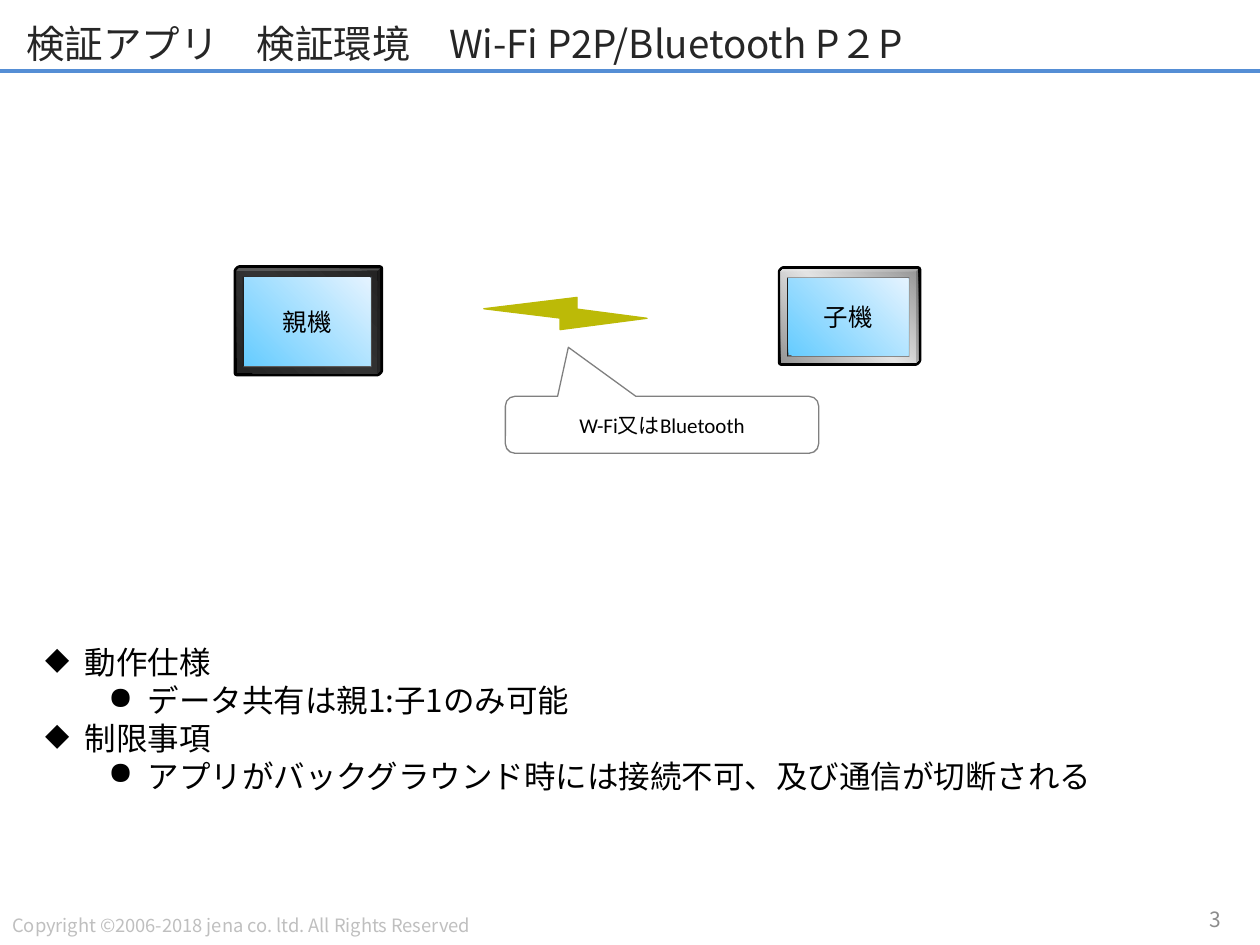
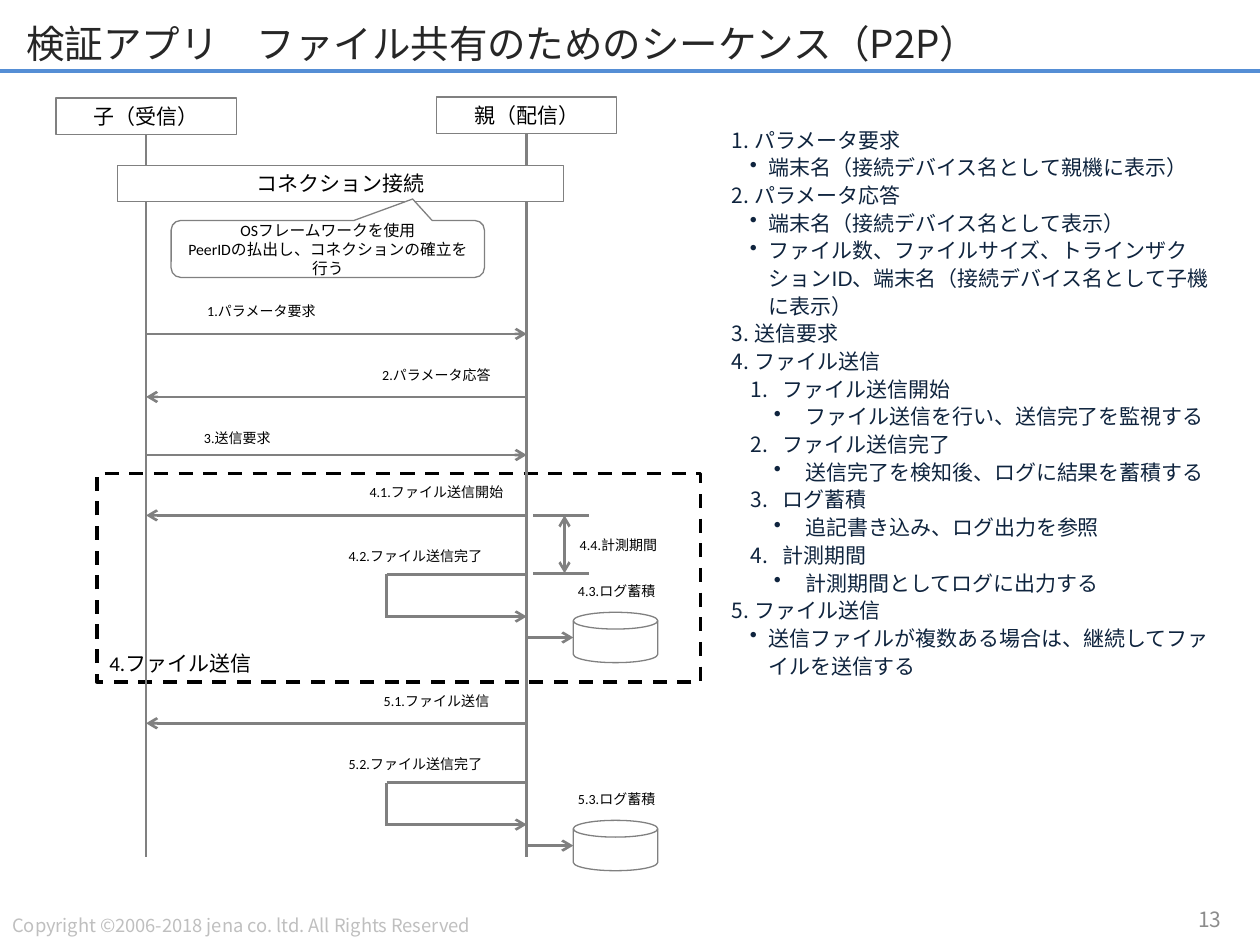
from dataclasses import dataclass

from lxml.etree import SubElement
from pptx import Presentation
from pptx.dml.color import RGBColor
from pptx.enum.dml import MSO_LINE
from pptx.enum.shapes import MSO_CONNECTOR, MSO_SHAPE
from pptx.enum.text import MSO_ANCHOR, PP_ALIGN
from pptx.oxml.ns import qn
from pptx.util import Pt


# Theme: colours, fonts and type sizes
@dataclass(frozen=True)
class Theme:
    black: str = "000000"
    white: str = "FFFFFF"
    grey: str = "808080"
    rule: str = "558ED5"
    title: str = "262626"
    footer: str = "BFBFBF"
    number: str = "8C8C8C"
    navy: str = "0F243E"
    bezel: str = "333333"
    signal: str = "BCBA07"
    screen: tuple = ("66CCFF", "E4F3FF")
    dark_case: tuple = ("242424", "333333", "242424")
    light_case: tuple = ("969696", "E3E3E3", "969696")
    display_font: str = "Noto Sans CJK JP"
    label_font: str = "Calibri"
    list_font: str = "Arial"
    title_size: float = 22
    bullet_size: float = 18
    device_size: float = 14
    body_size: float = 12
    footer_size: float = 10.5
    note_size: float = 9
    label_size: float = 8


@dataclass(frozen=True)
class ListStyle:
    level: int
    margin: float
    hanging: float
    bullet: str


THEME = Theme()
COPYRIGHT = "Copyright ©2006-2018 jena co. ltd. All Rights Reserved"


def set_bullet(para, style):
    para.level = style.level
    properties = para._p.get_or_add_pPr()
    properties.set("marL", str(Pt(style.margin)))
    properties.set("indent", str(-Pt(style.hanging)))
    if style.bullet == "1.":
        SubElement(properties, qn("a:buAutoNum"), type="arabicPeriod")
    else:
        SubElement(properties, qn("a:buChar"), char=style.bullet)


def write(frame, text, size=THEME.body_size, font=THEME.label_font, color=THEME.black,
          align=PP_ALIGN.CENTER, anchor=MSO_ANCHOR.MIDDLE, wrap=True, spacing=None):
    """Fill a frame from a string or from (ListStyle, string) pairs."""
    frame.word_wrap = wrap
    frame.vertical_anchor = anchor
    items = [(None, line) for line in text.split("\n")] if isinstance(text, str) else text
    for index, (style, line) in enumerate(items):
        para = frame.add_paragraph() if index else frame.paragraphs[0]
        para.alignment = align
        if spacing:
            para.line_spacing = spacing
        if style:
            set_bullet(para, style)
        span = para.add_run()
        span.text = line
        span.font.size = Pt(size)
        span.font.name = font
        span.font.color.rgb = RGBColor.from_string(color)
        SubElement(span._r.get_or_add_rPr(), qn("a:ea"), typeface=THEME.display_font)


class Deck:
    def __init__(self, theme):
        self.theme = theme
        self.show = Presentation()
        self.show.slide_width, self.show.slide_height = Pt(720), Pt(540)
        self.page = None

    def add_page(self, title, number):
        theme = self.theme
        self.page = self.show.slides.add_slide(self.show.slide_layouts[6])
        self.line((0, 40.5), (720, 40.5), color=theme.rule, width=2.25)
        self.text(0, 519, 304.5, 20, COPYRIGHT, size=theme.footer_size, color=theme.footer,
                  font=theme.display_font, align=PP_ALIGN.LEFT, anchor=MSO_ANCHOR.TOP, wrap=False)
        self.text(641.5, 510.5, 63.5, 29, number, color=theme.number,
                  font=theme.display_font, align=PP_ALIGN.RIGHT)
        self.text(8, 6.5, 704, 36, title, size=theme.title_size, color=theme.title,
                  font=theme.display_font, align=PP_ALIGN.LEFT)

    def text(self, left, top, width, height, content, **form):
        box = self.page.shapes.add_textbox(Pt(left), Pt(top), Pt(width), Pt(height))
        write(box.text_frame, content, **form)
        return box

    def shape(self, kind, left, top, width, height, fill=THEME.white, line=THEME.grey,
              line_width=0.75, dash=None, adjust=(), rotation=0, content=None, **form):
        box = self.page.shapes.add_shape(kind, Pt(left), Pt(top), Pt(width), Pt(height))
        box.shadow.inherit = False
        box.rotation = rotation
        for index, value in enumerate(adjust):
            box.adjustments[index] = value
        if isinstance(fill, tuple):
            self.gradient(box, fill)
        else:
            box.fill.solid()
            box.fill.fore_color.rgb = RGBColor.from_string(fill)
        if line:
            box.line.color.rgb = RGBColor.from_string(line)
            box.line.width = Pt(line_width)
            if dash:
                box.line.dash_style = dash
        else:
            box.line.fill.background()
        if content:
            write(box.text_frame, content, **form)
        return box

    def gradient(self, box, colors):
        box.fill.gradient()
        fill = box._element.spPr.find(qn("a:gradFill"))
        for child in list(fill):
            fill.remove(child)
        stops = SubElement(fill, qn("a:gsLst"))
        for index, color in enumerate(colors):
            position = 100000 * index // (len(colors) - 1)
            stop = SubElement(stops, qn("a:gs"), pos=str(position))
            SubElement(stop, qn("a:srgbClr"), val=color)
        SubElement(fill, qn("a:lin"), ang=str(315 * 60000), scaled="0")

    def line(self, start, end, color=THEME.grey, width=1.5, head=False, tail=False):
        link = self.page.shapes.add_connector(
            MSO_CONNECTOR.STRAIGHT, *(Pt(value) for value in (*start, *end)))
        link.line.color.rgb = RGBColor.from_string(color)
        link.line.width = Pt(width)
        outline = link.line._get_or_add_ln()
        for wanted, tag in ((head, "a:headEnd"), (tail, "a:tailEnd")):
            if wanted:
                SubElement(outline, qn(tag), type="arrow")
        SubElement(link._element.spPr, qn("a:effectLst"))
        return link

    def callout(self, left, top, tip, content, size):
        self.shape(MSO_SHAPE.ROUNDED_RECTANGULAR_CALLOUT, left, top, 179, 32.5,
                   adjust=(*tip, 0.167), content=content, size=size)

    def device(self, left, top, width, height, case, name):
        theme = self.theme
        body = (left, top, width, height)
        self.shape(MSO_SHAPE.CUBE, *body, fill=theme.black, line=theme.black,
                   line_width=3.5, adjust=(0.023,))
        self.shape(MSO_SHAPE.CUBE, *body, fill=case, line=None, adjust=(0.023,))
        self.shape(MSO_SHAPE.BEVEL, left + 3.5, top + 4.8, width - 8.5, height - 8.3,
                   fill=theme.bezel, line=None, adjust=(0.036,), rotation=180)
        screen = (left + 4.3, top + 5.5, width - 10, height - 9.7)
        self.shape(MSO_SHAPE.RECTANGLE, *screen, fill=theme.screen, line=None)
        self.text(*screen, name, size=theme.device_size)


def build_environment(deck):
    theme = deck.theme
    deck.add_page("検証アプリ　検証環境　Wi-Fi P2P/Bluetooth P２P", "3")

    # Two devices and the radio link between them
    deck.device(135.2, 153.3, 82, 60, theme.dark_case, "親機")
    deck.device(446.2, 153.8, 78.5, 53.5, theme.light_case, "子機")
    deck.callout(288.8, 226.5, (-0.299, -1.363), "W-Fi又はBluetooth", theme.body_size)
    for left, top, height, rotation in ((296.6, 149.8, 53.3, 90), (338.4, 157, 49.7, 270)):
        deck.shape(MSO_SHAPE.FLOWCHART_MERGE, left, top, 13, height, fill=theme.signal,
                   line=theme.signal, rotation=rotation)

    # Specification and limits
    heading = ListStyle(0, 22.5, 22.5, "◆")
    detail = ListStyle(1, 58.5, 22.5, "●")
    deck.text(18.7, 364, 680, 94, [
        (heading, "動作仕様"),
        (detail, "データ共有は親1:子1のみ可能"),
        (heading, "制限事項"),
        (detail, "アプリがバックグラウンド時には接続不可、及び通信が切断される"),
    ], size=theme.bullet_size, font=theme.display_font, align=PP_ALIGN.LEFT, anchor=MSO_ANCHOR.TOP)


def build_sequence(deck):
    theme = deck.theme
    deck.add_page("検証アプリ　ファイル共有のためのシーケンス（P2P）", "13")
    child_x, parent_x = 83.5, 301

    def label(left, top, content, width=103, height=21):
        deck.text(left, top, width, height, content, size=theme.label_size)

    # Transfer frame, behind everything else
    deck.shape(MSO_SHAPE.RECTANGLE, 55.4, 270.7, 345, 119, line=theme.black, line_width=2,
               dash=MSO_LINE.DASH, content="4.ファイル送信",
               align=PP_ALIGN.LEFT, anchor=MSO_ANCHOR.BOTTOM)

    # Actors with lifelines
    for center, top, name in ((child_x, 56, "子（受信）"), (parent_x, 55.4, "親（配信）")):
        actor = deck.shape(MSO_SHAPE.RECTANGLE, center - 51.5, top, 103, 21, content=name)
        lifeline = deck.line((center, top + 21), (center, 489.6))
        lifeline.begin_connect(actor, 2)

    # Connection step
    deck.shape(MSO_SHAPE.RECTANGLE, 67, 94.5, 255, 20.8, content="コネクション接続")
    deck.callout(97.8, 126, (0.271, -0.878),
                 "OSフレームワークを使用\nPeerIDの払出し、コネクションの確立を行う", theme.note_size)

    # Messages between the actors
    to_parent, to_child = (child_x, parent_x), (parent_x, child_x)
    messages = [
        (190.8, to_parent, 98, 167, "1.パラメータ要求"),
        (226.8, to_child, 198, 203.8, "2.パラメータ応答"),
        (260, to_parent, 84.2, 239.8, "3.送信要求"),
        (294.5, to_child, 198, 270.7, "4.1.ファイル送信開始"),
        (413.3, to_child, 198, 390.2, "5.1.ファイル送信"),
    ]
    for y, (start, end), left, top, content in messages:
        deck.line((start, y), (end, y), tail=True)
        label(left, top, content)

    # Completion loop and log store, once per transfer
    loop_x, disk_x = 221, 327.6
    for step, top in (("4", 328.3), ("5", 447.2)):
        deck.line((loop_x, top), (parent_x, top))
        deck.line((loop_x, top), (loop_x, top + 24))
        deck.line((loop_x - 0.75, top + 24), (parent_x, top + 24), tail=True)
        label(186, top - 21.3, f"{step}.2.ファイル送信完了")
        deck.shape(MSO_SHAPE.FLOWCHART_MAGNETIC_DISK, disk_x, top + 21.6, 48.3, 28.8)
        deck.line((parent_x, top + 36), (disk_x, top + 36), tail=True)
        label(318, top - 1, f"{step}.3.ログ蓄積", width=69)

    # Measured period
    for y in (294.5, 327.6):
        deck.line((304.6, y), (336.6, y))
    deck.line((322.6, 294.5), (322.6, 327.6), head=True, tail=True)
    label(319, 294.5, "4.4.計測期間", width=69, height=34)

    # Explanation of the steps
    step = ListStyle(0, 14.2, 13, "1.")
    note = ListStyle(1, 22.5, 10.8, "•")
    substep = ListStyle(1, 30.2, 18, "1.")
    subnote = ListStyle(2, 43.4, 18, "•")
    deck.text(409.7, 67.7, 289.5, 384, [
        (step, "パラメータ要求"),
        (note, "端末名（接続デバイス名として親機に表示）"),
        (step, "パラメータ応答"),
        (note, "端末名（接続デバイス名として表示）"),
        (note, "ファイル数、ファイルサイズ、トラインザクションID、端末名（接続デバイス名として子機に表示）"),
        (step, "送信要求"),
        (step, "ファイル送信"),
        (substep, "ファイル送信開始"),
        (subnote, "ファイル送信を行い、送信完了を監視する"),
        (substep, "ファイル送信完了"),
        (subnote, "送信完了を検知後、ログに結果を蓄積する"),
        (substep, "ログ蓄積"),
        (subnote, "追記書き込み、ログ出力を参照"),
        (substep, "計測期間"),
        (subnote, "計測期間としてログに出力する"),
        (step, "ファイル送信"),
        (note, "送信ファイルが複数ある場合は、継続してファイルを送信する"),
    ], font=theme.list_font, color=theme.navy, align=PP_ALIGN.LEFT,
        anchor=MSO_ANCHOR.TOP, spacing=1.1)


def main():
    deck = Deck(THEME)
    build_environment(deck)
    build_sequence(deck)
    deck.show.save("out.pptx")


if __name__ == "__main__":
    main()
